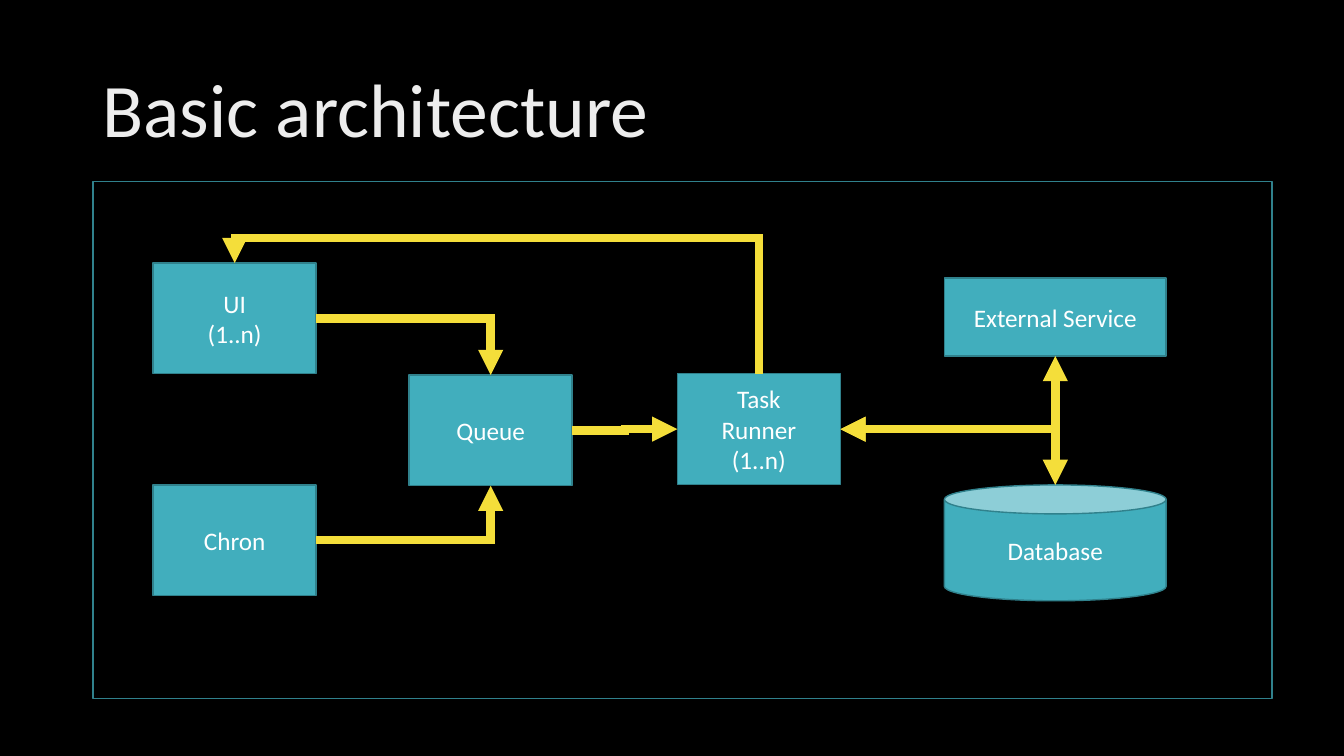
from dataclasses import dataclass

import pptx
import pptx.dml.color
import pptx.enum.shapes
import pptx.enum.text
import pptx.oxml
import pptx.oxml.ns
import pptx.util
from lxml import etree

Cm = pptx.util.Cm
Pt = pptx.util.Pt
qn = pptx.oxml.ns.qn
SHAPE = pptx.enum.shapes.MSO_SHAPE
ALIGN = pptx.enum.text.PP_ALIGN
TOP, LEFT, BOTTOM, RIGHT = range(4)
CAN_TOP = 1  # connection site of a can's top edge


@dataclass(frozen=True)
class Theme:
    font: str = "Calibri"
    background: str = "000000"
    title: str = "EDEDED"
    label: str = "FFFFFF"
    box: str = "41AEBD"
    outline: str = "30818C"
    arrow: str = "F4DE3A"
    title_size: int = 54
    label_size: int = 18
    outline_width: int = 1
    arrow_width: int = 6


THEME = Theme()


def rgb(value):
    return pptx.dml.color.RGBColor.from_string(value)


def write_text(frame, text, *, size, color, align=ALIGN.LEFT, spacing=1.0):
    frame.word_wrap = True
    frame.vertical_anchor = pptx.enum.text.MSO_ANCHOR.MIDDLE
    frame.text = text
    for paragraph in frame.paragraphs:
        paragraph.alignment = align
        paragraph.line_spacing = spacing
        for run in paragraph.runs:
            run.font.name = THEME.font
            run.font.size = Pt(size)
            run.font.color.rgb = rgb(color)


def add_title(slide, text):
    title = slide.shapes.add_textbox(Cm(2.34), Cm(1.02), Cm(29.21), Cm(3.68))
    write_text(title.text_frame, text, size=THEME.title_size,
               color=THEME.title, spacing=0.9)


def add_outlined(slide, kind, left, top, width, height):
    outlined = slide.shapes.add_shape(kind, Cm(left), Cm(top), Cm(width), Cm(height))
    outlined.shadow.inherit = False
    outlined.fill.background()
    outlined.line.color.rgb = rgb(THEME.outline)
    outlined.line.width = Pt(THEME.outline_width)
    return outlined


def add_component(slide, text, left, top, width=4.11, height=2.79, kind=SHAPE.RECTANGLE):
    component = add_outlined(slide, kind, left, top, width, height)
    component.fill.solid()
    component.fill.fore_color.rgb = rgb(THEME.box)
    write_text(component.text_frame, text, size=THEME.label_size,
               color=THEME.label, align=ALIGN.CENTER)
    return component


def edge_point(component, side):
    """Return the middle of one side of a component."""
    x = component.left + {LEFT: 0, RIGHT: component.width}.get(side, component.width // 2)
    y = component.top + {TOP: 0, BOTTOM: component.height}.get(side, component.height // 2)
    return x, y


def add_flow(slide, source, source_side, target, target_side, *,
             bend="bentConnector2", two_way=False, target_site=None):
    """Join two components with an elbow arrow; target_site overrides the site number."""
    flow = slide.shapes.add_connector(
        pptx.enum.shapes.MSO_CONNECTOR.ELBOW,
        *edge_point(source, source_side), *edge_point(target, target_side))
    flow.begin_connect(source, source_side)
    flow.end_connect(target, target_side if target_site is None else target_site)
    flow.end_x, flow.end_y = edge_point(target, target_side)
    flow.line.color.rgb = rgb(THEME.arrow)
    flow.line.width = Pt(THEME.arrow_width)

    properties = flow.element.spPr
    properties.find(qn("a:prstGeom")).set("prst", bend)
    line = properties.find(qn("a:ln"))
    etree.SubElement(line, qn("a:miter"), lim="800000")
    if two_way:
        etree.SubElement(line, qn("a:headEnd"), type="triangle")
    etree.SubElement(line, qn("a:tailEnd"), type="triangle")
    etree.SubElement(properties, qn("a:effectLst"))
    return flow


def add_return_flow(slide, source, target, rise):
    """Lead an arrow from the source's top over to the higher target's top."""
    flow = add_flow(slide, source, TOP, target, TOP, bend="bentConnector3")
    start_x, start_y = edge_point(source, TOP)
    end_x, end_y = edge_point(target, TOP)
    drop, span = start_y - end_y, start_x - end_x
    flow.left = (start_x + end_x - drop) // 2
    flow.top = (start_y + end_y - span) // 2
    flow.width, flow.height = drop, span

    transform = flow.element.spPr.find(qn("a:xfrm"))
    transform.attrib.clear()
    transform.set("rot", str(270 * 60000))
    transform.set("flipV", "1")
    geometry = flow.element.spPr.find(qn("a:prstGeom"))
    adjustments = geometry.find(qn("a:avLst"))
    if adjustments is None:
        adjustments = etree.SubElement(geometry, qn("a:avLst"))
    share = round((drop + rise) / drop * 100000)
    etree.SubElement(adjustments, qn("a:gd"), name="adj1", fmla=f"val {share}")


def main():
    presentation = pptx.Presentation()
    presentation.slide_width, presentation.slide_height = Cm(33.87), Cm(19.05)
    slide = presentation.slides.add_slide(presentation.slide_layouts[6])
    slide.background.fill.solid()
    slide.background.fill.fore_color.rgb = rgb(THEME.background)

    add_title(slide, "Basic architecture")
    add_outlined(slide, SHAPE.RECTANGLE, 2.34, 4.57, 29.72, 13.03)

    ui = add_component(slide, "UI\n(1..n)", 3.86, 6.63)
    chron = add_component(slide, "Chron", 3.86, 12.22)
    queue = add_component(slide, "Queue", 10.31, 9.45)
    runner = add_component(slide, "Task\nRunner\v(1..n)", 17.07, 9.42)
    database = add_component(slide, "Database", 23.8, 12.22, 5.59, 2.92, SHAPE.CAN)
    service = add_component(slide, "External Service", 23.8, 7.01, 5.59, 1.96)

    add_flow(slide, queue, RIGHT, runner, LEFT, bend="bentConnector3")
    add_flow(slide, ui, RIGHT, queue, TOP)
    add_flow(slide, chron, RIGHT, queue, BOTTOM)
    add_flow(slide, runner, RIGHT, service, BOTTOM, two_way=True)
    add_flow(slide, runner, RIGHT, database, TOP, two_way=True, target_site=CAN_TOP)
    add_return_flow(slide, runner, ui, rise=Cm(0.64))

    presentation.save("out.pptx")


if __name__ == "__main__":
    main()
